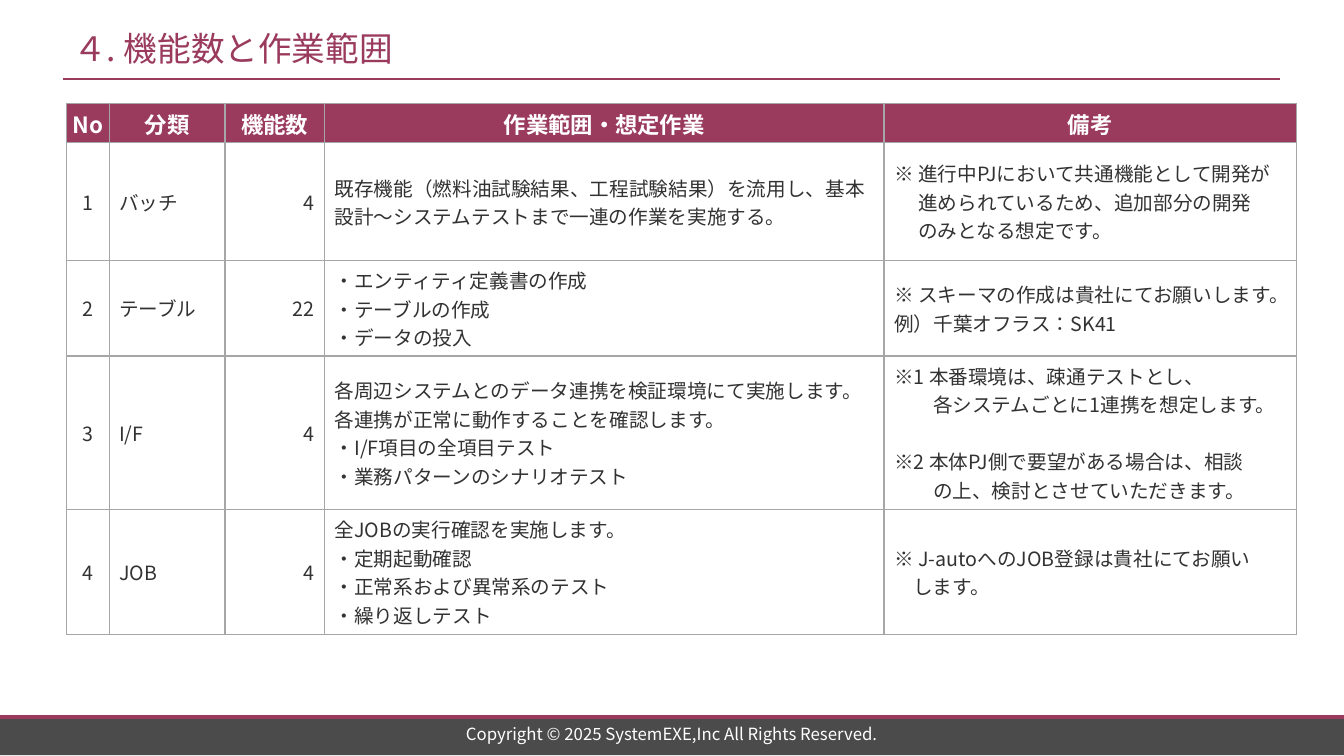
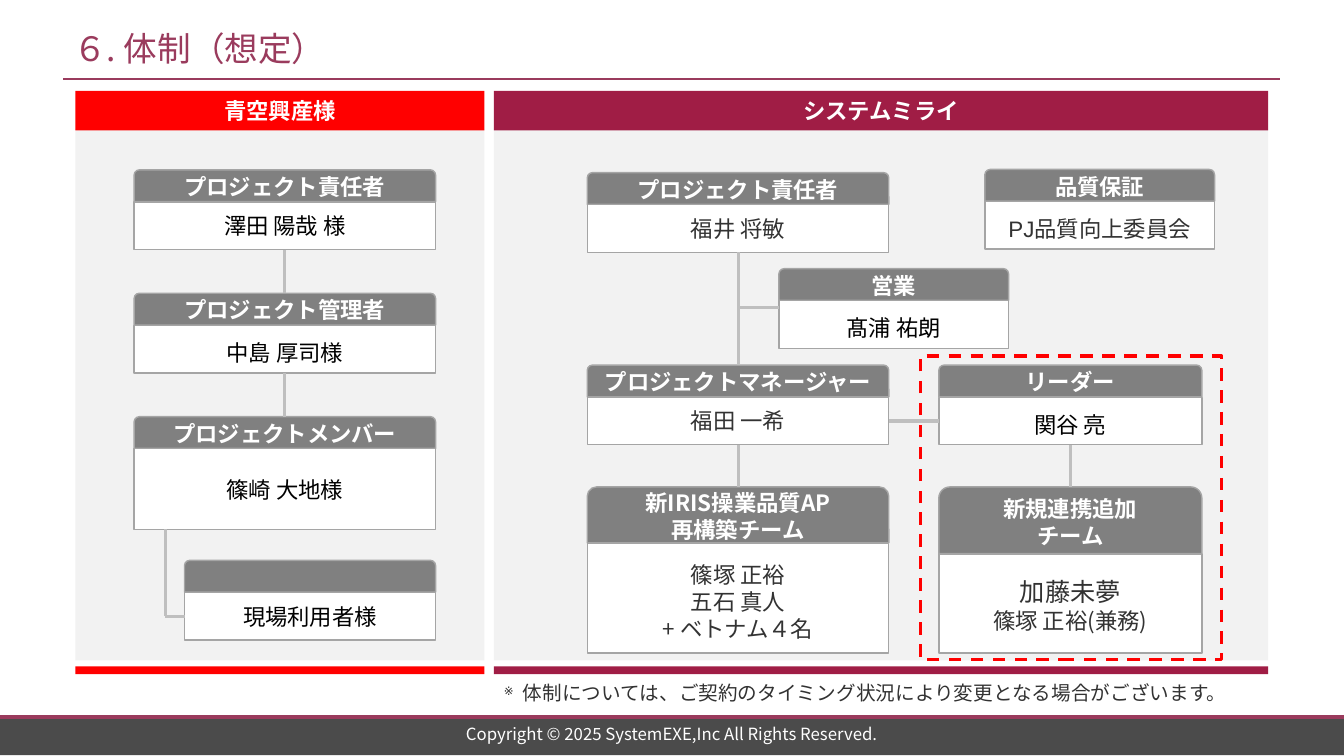
from dataclasses import dataclass

from lxml import etree
from pptx import Presentation
from pptx.dml.color import RGBColor
from pptx.enum import dml, lang, shapes, text
from pptx.oxml import ns
from pptx.util import Cm, Pt

PLUM, WINE, RED = "9A3B5D", "A01D45", "FF0000"
WHITE, BLACK, INK, TEAM_INK = "FFFFFF", "000000", "323232", "333333"
BAND, PANEL, HEAD = "4B4B4B", "F2F2F2", "808080"
CARD_EDGE, CELL_EDGE, LINK = "A5A5A5", "A6A6A6", "BFBFBF"
NOTO, ARIAL, CALIBRI = "Noto Sans CJK JP", "Arial", "Calibri"
LEFT, CENTER, RIGHT = text.PP_ALIGN.LEFT, text.PP_ALIGN.CENTER, text.PP_ALIGN.RIGHT
TOP_SIDE, LEFT_SIDE, BOTTOM_SIDE, RIGHT_SIDE = range(4)
SLIDE_WIDTH, SLIDE_HEIGHT = 33.87, 19.05
COPYRIGHT = "Copyright © 2025 SystemEXE,Inc All Rights Reserved."


@dataclass
class Line:
    """One paragraph; indent is in cm, before and spacing in points."""
    words: str
    size: float = 14
    color: str = INK
    face: str = NOTO
    bold: bool = False
    indent: float = 0
    before: float = 0
    spacing: float = 0
    bullet: str = ""


def rgb(code):
    return RGBColor.from_string(code)


def card_line(words, color=BLACK, face=ARIAL, size=16, bold=False):
    return Line(words, size, color, face, bold, spacing=19.2)


def add_element(parent, tag, **attributes):
    return etree.SubElement(parent, ns.qn(tag), **attributes)


def write(frame, lines, align=LEFT, anchor=text.MSO_ANCHOR.MIDDLE):
    frame.word_wrap = True
    frame.vertical_anchor = anchor
    for index, line in enumerate(lines):
        para = frame.add_paragraph() if index else frame.paragraphs[0]
        para.alignment = align
        if line.before:
            para.space_before = Pt(line.before)
        if line.spacing:
            para.line_spacing = Pt(line.spacing)
        if line.indent:
            properties = para._p.get_or_add_pPr()
            properties.set("marL", str(Cm(line.indent)))
            if line.bullet:
                properties.set("indent", str(-Cm(line.indent)))
                add_element(properties, "a:buSzPct", val="60000")
                add_element(properties, "a:buChar", char=line.bullet)
        span = para.add_run()
        span.text = line.words
        font = span.font
        font.size, font.bold, font.name = Pt(line.size), line.bold, line.face
        font.language_id = lang.MSO_LANGUAGE_ID.JAPANESE
        font.color.rgb = rgb(line.color)
        add_element(span._r.get_or_add_rPr(), "a:ea", typeface=NOTO)


class Deck:
    def __init__(self):
        self.deck = Presentation()
        self.deck.slide_width = Cm(SLIDE_WIDTH)
        self.deck.slide_height = Cm(SLIDE_HEIGHT)
        self.page = None

    def new_page(self, title):
        self.page = self.deck.slides.add_slide(self.deck.slide_layouts[6])
        self.shape(0, 18.03, SLIDE_WIDTH, 1, BAND)
        self.line((0, 18.06), (SLIDE_WIDTH, 18.06), PLUM, 2.75)
        self.line((1.6, 1.98), (32.26, 1.98), PLUM, 1.5)
        self.label(1.6, 0.5, 30.66, 1.4, Line(title, 24, PLUM))
        self.label(8.43, 18.2, 17, 0.6, Line(COPYRIGHT, 12, WHITE), CENTER)

    def label(self, left, top, width, height, line, align=LEFT,
              anchor=text.MSO_ANCHOR.MIDDLE):
        box = self.page.shapes.add_textbox(Cm(left), Cm(top), Cm(width), Cm(height))
        write(box.text_frame, [line], align, anchor)

    def shape(self, left, top, width, height, fill=None, edge=None, weight=1,
              lines=(), inset_top=0.13, kind=shapes.MSO_SHAPE.RECTANGLE):
        shape = self.page.shapes.add_shape(kind, Cm(left), Cm(top), Cm(width), Cm(height))
        shape.shadow.inherit = False
        if fill:
            shape.fill.solid()
            shape.fill.fore_color.rgb = rgb(fill)
        else:
            shape.fill.background()
        if edge:
            shape.line.color.rgb = rgb(edge)
            shape.line.width = Pt(weight)
        else:
            shape.line.fill.background()
        if lines:
            frame = shape.text_frame
            frame.margin_left = frame.margin_right = Cm(0.1)
            frame.margin_top, frame.margin_bottom = Cm(inset_top), Cm(0.13)
            write(frame, lines, CENTER)
        return shape

    def line(self, start, end, color=LINK, weight=2.25):
        points = [Cm(value) for value in (*start, *end)]
        line = self.page.shapes.add_connector(shapes.MSO_CONNECTOR.STRAIGHT, *points)
        line.line.color.rgb = rgb(color)
        line.line.width = Pt(weight)
        add_element(line._element.spPr, "a:effectLst")
        return line

    def link(self, source, source_side, target, target_side):
        line = self.line((0, 0), (0, 0))
        line.begin_connect(source, source_side)
        line.end_connect(target, target_side)

    def panel(self, left, width, color, name):
        """Headed grey area closed by a coloured bar."""
        self.shape(left, 3.25, width, 13.39, PANEL)
        self.shape(left, 2.29, width, 1, color, lines=[card_line(name, WHITE, bold=True)])
        self.shape(left, 16.79, width, 0.2, color)

    def card(self, left, top, width, roles, people, head_height=0.8,
             body_height=1.2, inset_top=0.13, role_face=ARIAL):
        """Role above its people; returns the head and the body."""
        titles = [card_line(role, WHITE, role_face, bold=True) for role in roles]
        head = self.shape(left, top, width, head_height, HEAD, CARD_EDGE, lines=titles,
                          kind=shapes.MSO_SHAPE.ROUND_2_SAME_RECTANGLE)
        body = self.shape(left, top + head_height + 0.01, width, body_height, WHITE,
                          CARD_EDGE, lines=people, inset_top=inset_top)
        return head, body

    def table(self, left, top, widths, heights, rows, aligns):
        """The first row is the heading; cells are lists of lines."""
        table = self.page.shapes.add_table(
            len(heights), len(widths), Cm(left), Cm(top),
            Cm(sum(widths)), Cm(sum(heights))).table
        table.first_row = table.horz_banding = False
        for column, width in zip(table.columns, widths):
            column.width = Cm(width)
        for r, (height, row) in enumerate(zip(heights, rows)):
            table.rows[r].height = Cm(height)
            for c, lines in enumerate(row):
                self.cell(table.cell(r, c), lines, CENTER if r == 0 else aligns[c],
                          PLUM if r == 0 else None)

    def cell(self, cell, lines, align, fill):
        if align == CENTER:
            cell.margin_left = cell.margin_right = Cm(0.1)
            cell.margin_top = cell.margin_bottom = Cm(0.1)
        properties = cell._tc.get_or_add_tcPr()
        for side in ("a:lnL", "a:lnR", "a:lnT", "a:lnB"):
            edge = add_element(properties, side, w=str(Pt(1)))
            add_element(add_element(edge, "a:solidFill"), "a:srgbClr", val=CELL_EDGE)
        if fill:
            cell.fill.solid()
            cell.fill.fore_color.rgb = rgb(fill)
        else:
            cell.fill.background()
        write(cell.text_frame, lines, align)
        cell.vertical_anchor = text.MSO_ANCHOR.MIDDLE


def scope_page(deck):
    deck.new_page("４. 機能数と作業範囲")
    headings = ["No", "分類", "機能数", "作業範囲・想定作業", "備考"]
    items = [
        ("バッチ", 4,
         ["既存機能（燃料油試験結果、工程試験結果）を流用し、"
          "基本設計～システムテストまで一連の作業を実施する。"],
         [Line("※ 進行中PJにおいて共通機能として開発が"),
          Line("進められているため、追加部分の開発", indent=0.61),
          Line("のみとなる想定です。", indent=0.61)]),
        ("テーブル", 22,
         ["・エンティティ定義書の作成", "・テーブルの作成", "・データの投入"],
         [Line("※ スキーマの作成は貴社にてお願いします。"),
          Line("例）千葉オフラス：SK41")]),
        ("I/F", 4,
         ["各周辺システムとのデータ連携を検証環境にて実施します。",
          "各連携が正常に動作することを確認します。",
          "・I/F項目の全項目テスト", "・業務パターンのシナリオテスト"],
         [Line("※1 本番環境は、疎通テストとし、"),
          Line("各システムごとに1連携を想定します。", indent=0.98),
          Line("※2 本体PJ側で要望がある場合は、相談", before=20.4),
          Line("の上、検討とさせていただきます。", indent=0.98)]),
        ("JOB", 4,
         ["全JOBの実行確認を実施します。", "・定期起動確認",
          "・正常系および異常系のテスト", "・繰り返しテスト"],
         [Line("※ J-autoへのJOB登録は貴社にてお願い"),
          Line("します。", indent=0.48)]),
    ]
    rows = [[[Line(heading, 16, WHITE, bold=True)] for heading in headings]]
    for number, (kind, count, tasks, remarks) in enumerate(items, 1):
        rows.append([[Line(str(number))], [Line(kind)], [Line(str(count))],
                     [Line(task) for task in tasks], remarks])
    deck.table(1.68, 2.6, [1.07, 2.92, 2.51, 14.1, 10.39],
               [1, 2.97, 2.4, 3.87, 3.15], rows, [CENTER, LEFT, RIGHT, LEFT, LEFT])


def team_page(deck):
    deck.new_page("６. 体制（想定）")
    deck.panel(1.9, 10.31, RED, "青空興産様")
    deck.panel(12.45, 19.51, WINE, "システムミライ")

    # Customer side
    customer = [("プロジェクト責任者", "澤田 陽哉 様", 1.2, 0.13),
                ("プロジェクト管理者", "中島 厚司様", 1.2, 0.3),
                ("プロジェクトメンバー", "篠崎 大地様", 2.03, 0.13)]
    above = None
    for index, (role, person, height, inset) in enumerate(customer):
        head, body = deck.card(3.38, 4.28 + 3.11 * index, 7.6, [role],
                               [card_line(person)], body_height=height, inset_top=inset)
        if above:
            deck.link(above, BOTTOM_SIDE, head, TOP_SIDE)
        above = body
    users = deck.card(4.65, 14.12, 6.33, [], [card_line("現場利用者様")])[1]
    branch_x, branch_y = 4.17, 15.53
    deck.line((branch_x, 13.33), (branch_x, branch_y))
    deck.line((branch_x, branch_y), (4.65, branch_y)).end_connect(users, LEFT_SIDE)

    # Vendor side
    main_x, main_width, side_width, leader_x, leader_width = 14.8, 7.6, 5.79, 23.66, 6.63
    manager_y, team_y = 9.2, 12.27
    owner = deck.card(main_x, 4.35, main_width, ["プロジェクト責任者"],
                      [card_line("福井 将敏", INK, CALIBRI)])
    deck.card(24.82, 4.27, side_width, ["品質保証"],
              [card_line("PJ品質向上委員会", INK)], inset_top=0.3)
    deck.card(19.63, 6.77, side_width, ["営業"], [card_line("髙浦 祐朗")], inset_top=0.3)
    manager = deck.card(main_x, manager_y, main_width, ["プロジェクトマネージャー"],
                        [card_line("福田 一希", TEAM_INK, NOTO)])
    leader = deck.card(leader_x, manager_y, leader_width, ["リーダー"],
                       [card_line("関谷 亮")], inset_top=0.3)
    rebuild = deck.card(main_x, team_y, main_width, ["新IRIS操業品質AP", "再構築チーム"],
                        [card_line("篠塚 正裕", TEAM_INK, NOTO),
                         card_line("五石 真人", INK),
                         card_line("+ ベトナム４名", TEAM_INK, NOTO)],
                        1.41, 2.77, 0.3, NOTO)
    addition = deck.card(leader_x, team_y, leader_width, ["新規連携追加", "チーム"],
                         [card_line("加藤未夢", INK, CALIBRI, 18),
                          card_line("篠塚 正裕(兼務)", TEAM_INK, NOTO)],
                         1.68, 2.5, 0.3, NOTO)
    for upper, lower in ((owner, manager), (manager, rebuild), (leader, addition)):
        deck.link(upper[1], BOTTOM_SIDE, lower[0], TOP_SIDE)
    deck.link(manager[1], RIGHT_SIDE, leader[1], LEFT_SIDE)
    deck.line((main_x + main_width / 2, 7.75), (19.63, 7.75))
    scope = deck.shape(23.19, 8.97, 7.6, 7.65, edge=RED, weight=2.25)
    scope.line.dash_style = dml.MSO_LINE.DASH
    note = "体制については、ご契約のタイミング状況により変更となる場合がございます。"
    deck.label(12.45, 17.04, 19.8, 1.12, Line(note, indent=0.48, bullet="※"),
               anchor=text.MSO_ANCHOR.TOP)


def main():
    deck = Deck()
    scope_page(deck)
    team_page(deck)
    deck.deck.save("out.pptx")


if __name__ == "__main__":
    main()
